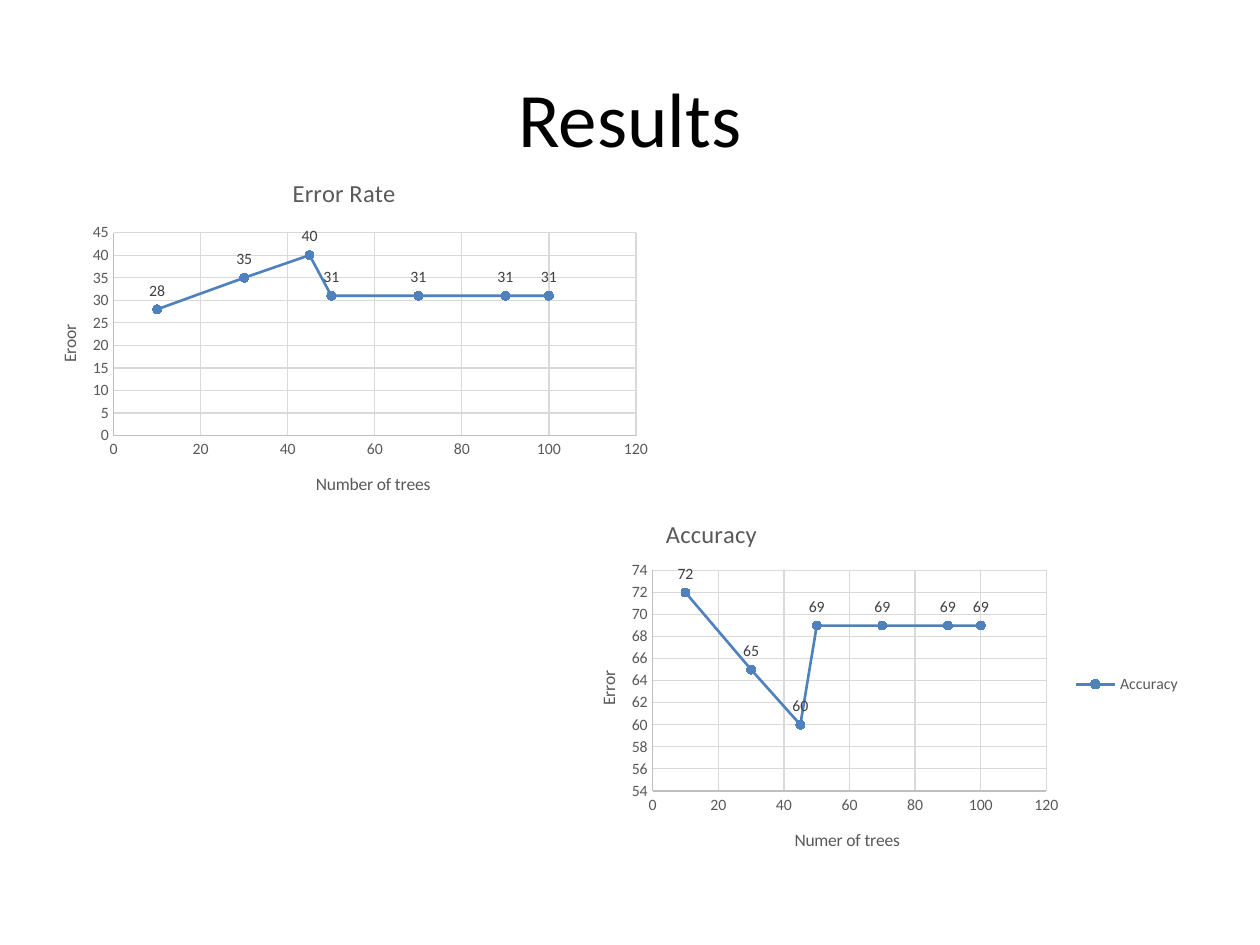
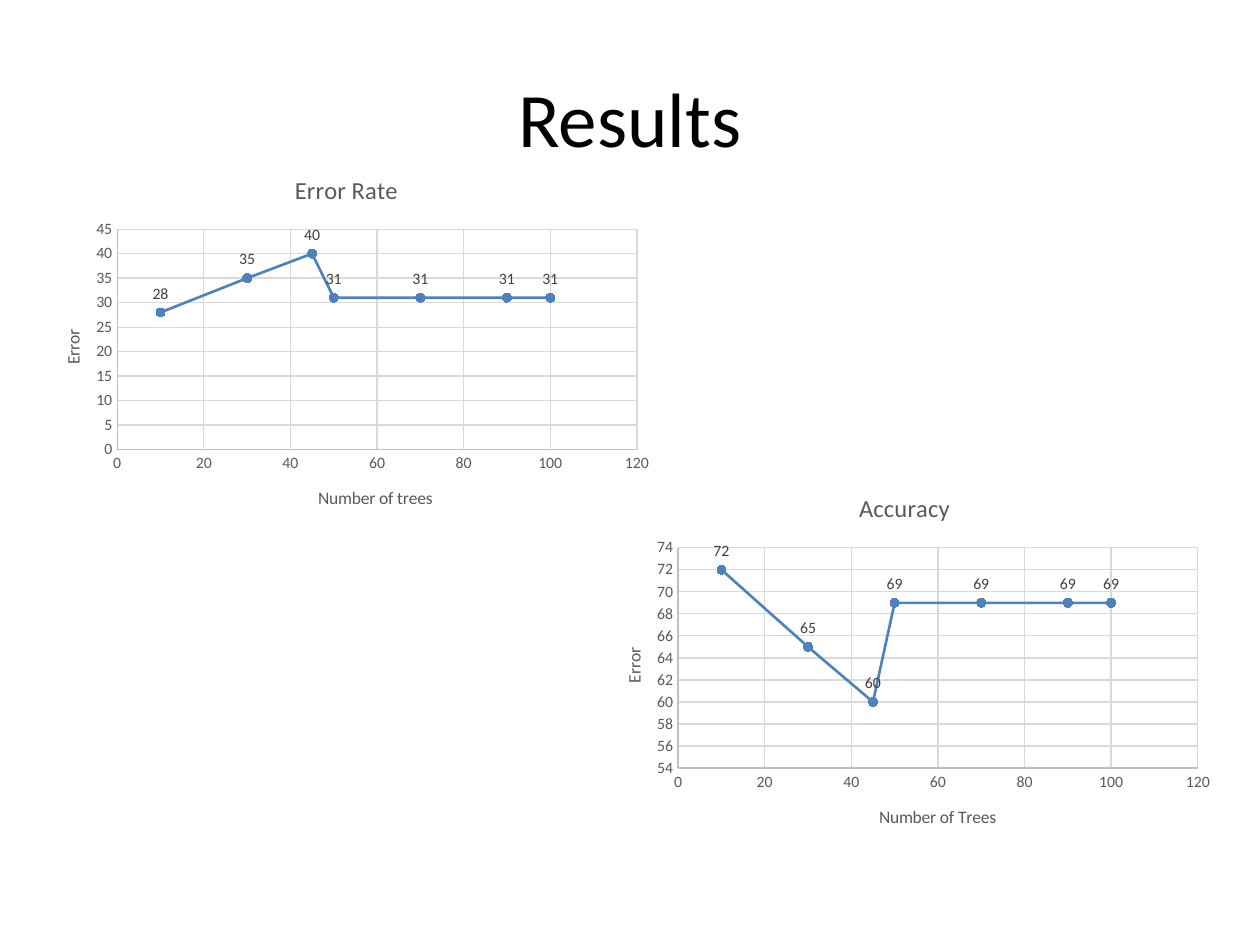
from dataclasses import dataclass

from lxml.etree import SubElement as Sub
from pptx import Presentation
from pptx.chart.data import XyChartData
from pptx.chart.datalabel import DataLabels
from pptx.dml.color import RGBColor as Rgb
from pptx.enum.chart import XL_CHART_TYPE as Kind
from pptx.enum.chart import XL_LABEL_POSITION as Spot
from pptx.enum.chart import XL_LEGEND_POSITION as Side
from pptx.enum.chart import XL_MARKER_STYLE as Mark
from pptx.enum.chart import XL_TICK_MARK as Tick
from pptx.enum.text import MSO_ANCHOR as Anchor
from pptx.enum.text import PP_ALIGN as Align
from pptx.oxml.ns import qn
from pptx.util import Pt


@dataclass(frozen=True)
class Theme:
    """Colours, type sizes and chart insets that the slides share."""
    font: str = "Calibri"
    ink: str = "000000"
    text: str = "595959"
    label: str = "404040"
    blue: str = "4F81BD"
    axis: str = "BFBFBF"
    grid: str = "D9D9D9"
    head: float = 44
    title: float = 14
    body: float = 10
    small: float = 9
    left: float = 49
    top: float = 43
    right: float = 14
    key: float = 86
    base: float = 47


@dataclass(frozen=True)
class Topic:
    """One measured quantity with its scale."""
    name: str
    vals: tuple
    low: int
    high: int
    step: int


LOOK = Theme()
TREES = (10, 30, 45, 50, 70, 90, 100)
ERROR = Topic("Error Rate", (28, 35, 40, 31, 31, 31, 31), 0, 45, 5)
RIGHT = Topic("Accuracy ", (72, 65, 60, 69, 69, 69, 69), 54, 74, 2)


def style(font, size, color):
    """Set the face, size and colour of a font."""
    font.name, font.size, font.bold = LOOK.font, Pt(size), False
    font.color.rgb = Rgb.from_string(color)


def stroke(line, color, width=0.75):
    """Set the colour and width of a line."""
    line.color.rgb = Rgb.from_string(color)
    line.width = Pt(width)


def place(node, box, **spots):
    """Pin a chart part at points measured inside the chart box."""
    slot = node.find(qn("c:layout"))
    if slot is None:
        slot = Sub(node, qn("c:layout"))
        node.insert(len(node.findall(qn("c:tx"))), slot)
    form = Sub(slot, qn("c:manualLayout"))
    if "w" in spots:
        Sub(form, qn("c:layoutTarget")).set("val", "inner")
    for key in ("x", "y"):
        Sub(form, qn(f"c:{key}Mode")).set("val", "edge")
    for key, val in spots.items():
        full = box[2] if key in "xw" else box[3]
        Sub(form, qn(f"c:{key}")).set("val", f"{val / full:.4f}")


def write(title, text, size):
    """Fill a chart or axis title."""
    title.text_frame.text = text
    for run in title.text_frame.paragraphs[0].runs:
        style(run.font, size, LOOK.text)


def scale(axis, text, low, high, step):
    """Format one axis with its title, range and grid."""
    axis.minimum_scale, axis.maximum_scale = low, high
    axis.major_unit = step
    axis.major_tick_mark = axis.minor_tick_mark = Tick.NONE
    axis.has_major_gridlines = True
    stroke(axis.major_gridlines.format.line, LOOK.grid)
    stroke(axis.format.line, LOOK.axis)
    style(axis.tick_labels.font, LOOK.small, LOOK.text)
    write(axis.axis_title, text, LOOK.body)


def trace(row):
    """Format the plotted line, its markers and its labels."""
    stroke(row.format.line, LOOK.blue, 1.5)
    row.marker.style, row.marker.size = Mark.CIRCLE, 5
    row.marker.format.fill.solid()
    row.marker.format.fill.fore_color.rgb = Rgb.from_string(LOOK.blue)
    stroke(row.marker.format.line, LOOK.blue)
    tags = DataLabels(row._element.get_or_add_dLbls())
    tags.show_value, tags.position = True, Spot.ABOVE
    style(tags.font, LOOK.small, LOOK.label)


def graph(slide, box, topic, foot, side, key=False):
    """Draw a scatter chart of a topic against the number of trees."""
    data = XyChartData()
    row = data.add_series(topic.name)
    for x, y in zip(TREES, topic.vals):
        row.add_data_point(x, y)
    frame = slide.shapes.add_chart(Kind.XY_SCATTER_LINES, *map(Pt, box), data)
    chart = frame.chart
    style(chart.font, LOOK.body, LOOK.ink)
    chart.has_title = True
    write(chart.chart_title, topic.name, LOOK.title)
    chart.has_legend = key
    if key:
        chart.legend.position = Side.RIGHT
        chart.legend.include_in_layout = False
        style(chart.legend.font, LOOK.small, LOOK.text)
        place(chart.chart_title._element, box, x=54, y=10)
    chart.plots[0].vary_by_categories = False
    trace(chart.plots[0].series[0])

    wide = box[2] - LOOK.left - (LOOK.key if key else LOOK.right)
    high = box[3] - LOOK.top - LOOK.base
    area = chart._chartSpace.chart.plotArea
    place(area, box, x=LOOK.left, y=LOOK.top, w=wide, h=high)
    across, up = chart.category_axis, chart.value_axis
    scale(across, foot, 0, 120, 20)
    scale(up, side, topic.low, topic.high, topic.step)
    half = 2.2 * len(foot)
    place(across.axis_title._element, box,
          x=LOOK.left + wide / 2 - 2.5 - half, y=LOOK.top + high + 19.5)
    half = 2.2 * len(side)
    place(up.axis_title._element, box,
          x=15.5, y=LOOK.top + high / 2 + 3.5 - half)


def head(slide, box, text):
    """Fill the title placeholder."""
    title = slide.shapes.title
    title.left, title.top, title.width, title.height = map(Pt, box)
    frame = title.text_frame
    frame.text = text
    frame.vertical_anchor = Anchor.MIDDLE
    line = frame.paragraphs[0]
    line.alignment = Align.CENTER
    style(line.runs[0].font, LOOK.head, LOOK.ink)


def page(deck, *plots):
    """Add a results slide with its charts."""
    slide = deck.slides.add_slide(deck.slide_layouts[5])
    head(slide, (36, 21.6, 648, 90), "Results")
    for plot in plots:
        graph(slide, *plot)


def main():
    """Build and save the deck."""
    deck = Presentation()
    deck.slide_width, deck.slide_height = Pt(720), Pt(540)
    page(deck,
         ((16, 90, 361.5, 206), ERROR, "Number of trees", "Eroor"),
         ((324, 283, 360, 216), RIGHT, "Numer of trees", "Error", True))
    page(deck,
         ((18, 88, 360, 216), ERROR, "Number of trees", "Error"),
         ((338.5, 270, 360, 216), RIGHT, "Number of Trees", "Error"))
    deck.save("out.pptx")


if __name__ == "__main__":
    main()
